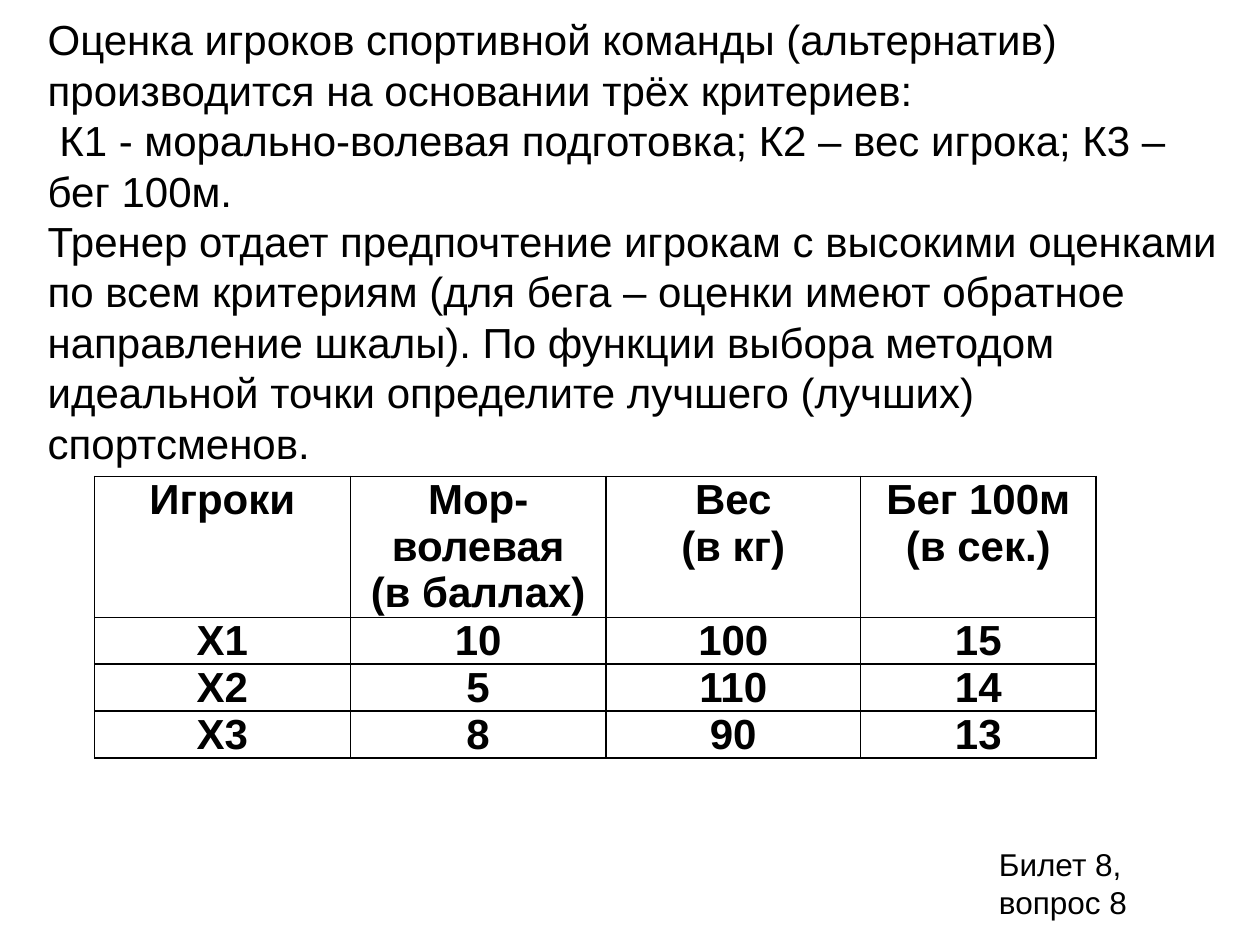
from lxml import etree
from pptx import Presentation
from pptx.dml.color import RGBColor
from pptx.enum.text import MSO_ANCHOR, MSO_AUTO_SIZE, PP_ALIGN
from pptx.oxml.ns import qn
from pptx.util import Inches, Pt

TOP, MIDDLE = MSO_ANCHOR.TOP, MSO_ANCHOR.MIDDLE
LEFT, CENTER = PP_ALIGN.LEFT, PP_ALIGN.CENTER
FIT_SHAPE = MSO_AUTO_SIZE.SHAPE_TO_FIT_TEXT
COLORS = {"text": "000000", "border": "000000", "background": "FFFFFF"}

presentation = Presentation()
presentation.slide_width, presentation.slide_height = Inches(10), Inches(7.5)
slide = presentation.slides.add_slide(presentation.slide_layouts[6])
slide.background.fill.solid()
slide.background.fill.fore_color.rgb = RGBColor.from_string(COLORS["background"])


def write(frame, lines, size, bold, alignment):
    frame.text = "\n".join(lines)
    font_format = {"name": "Arial", "size": Pt(size), "bold": bold}
    for paragraph in frame.paragraphs:
        paragraph.alignment = alignment
        for run in paragraph.runs:
            for name, value in font_format.items():
                setattr(run.font, name, value)
            run.font.color.rgb = RGBColor.from_string(COLORS["text"])


def add_border(cell, side):
    line = etree.SubElement(cell._tc.get_or_add_tcPr(), qn(f"a:{side}"), w=str(Pt(1)))
    fill = etree.SubElement(line, qn("a:solidFill"))
    etree.SubElement(fill, qn("a:srgbClr"), val=COLORS["border"])


header = [["Игроки"], ["Мор-волевая", "(в баллах)"], ["Вес", "(в кг)"], ["Бег 100м", "(в сек.)"]]
scores = [("Х1", 10, 100, 15), ("Х2", 5, 110, 14), ("Х3", 8, 90, 13)]
rows = [header] + [[[str(value)] for value in score] for score in scores]
column_widths = [2.03, 2.03, 2.02, 1.87]
row_heights = [1.12] + [0.37] * len(scores)

table = slide.shapes.add_table(
    len(rows), len(header), Inches(0.75), Inches(3.78),
    Inches(sum(column_widths)), Inches(sum(row_heights)),
).table
table.first_row = table.horz_banding = False
for column, width in zip(table.columns, column_widths):
    column.width = Inches(width)
for row, height in zip(table.rows, row_heights):
    row.height = Inches(height)

cell_format = {
    "margin_left": Inches(0.07), "margin_right": Inches(0.07),
    "margin_top": 0, "margin_bottom": 0, "vertical_anchor": TOP,
}
for row, values in zip(table.rows, rows):
    for cell, lines in zip(row.cells, values):
        for name, value in cell_format.items():
            setattr(cell, name, value)
        write(cell.text_frame, lines, 24, True, CENTER)
        for side in ("lnL", "lnR", "lnT", "lnB"):
            add_border(cell, side)
        cell.fill.background()

task = [
    "Оценка игроков спортивной команды (альтернатив) производится на основании трёх критериев:",
    " К1 - морально-волевая подготовка; К2 – вес игрока; К3 – бег 100м.",
    "Тренер отдает предпочтение игрокам с высокими оценками по всем критериям "
    "(для бега – оценки имеют обратное направление шкалы). По функции выбора методом "
    "идеальной точки определите лучшего (лучших) спортсменов.",
]
text_boxes = [
    ((0.28, 0.04, 9.61, 3.74), task, 24, MIDDLE),
    ((7.83, 6.66, 1.5, 0.71), ["Билет 8, вопрос 8"], 18, TOP),
]
for place, lines, size, anchor in text_boxes:
    frame = slide.shapes.add_textbox(*map(Inches, place)).text_frame
    frame_format = {"word_wrap": True, "auto_size": FIT_SHAPE, "vertical_anchor": anchor}
    for name, value in frame_format.items():
        setattr(frame, name, value)
    write(frame, lines, size, False, LEFT)

presentation.save("out.pptx")
